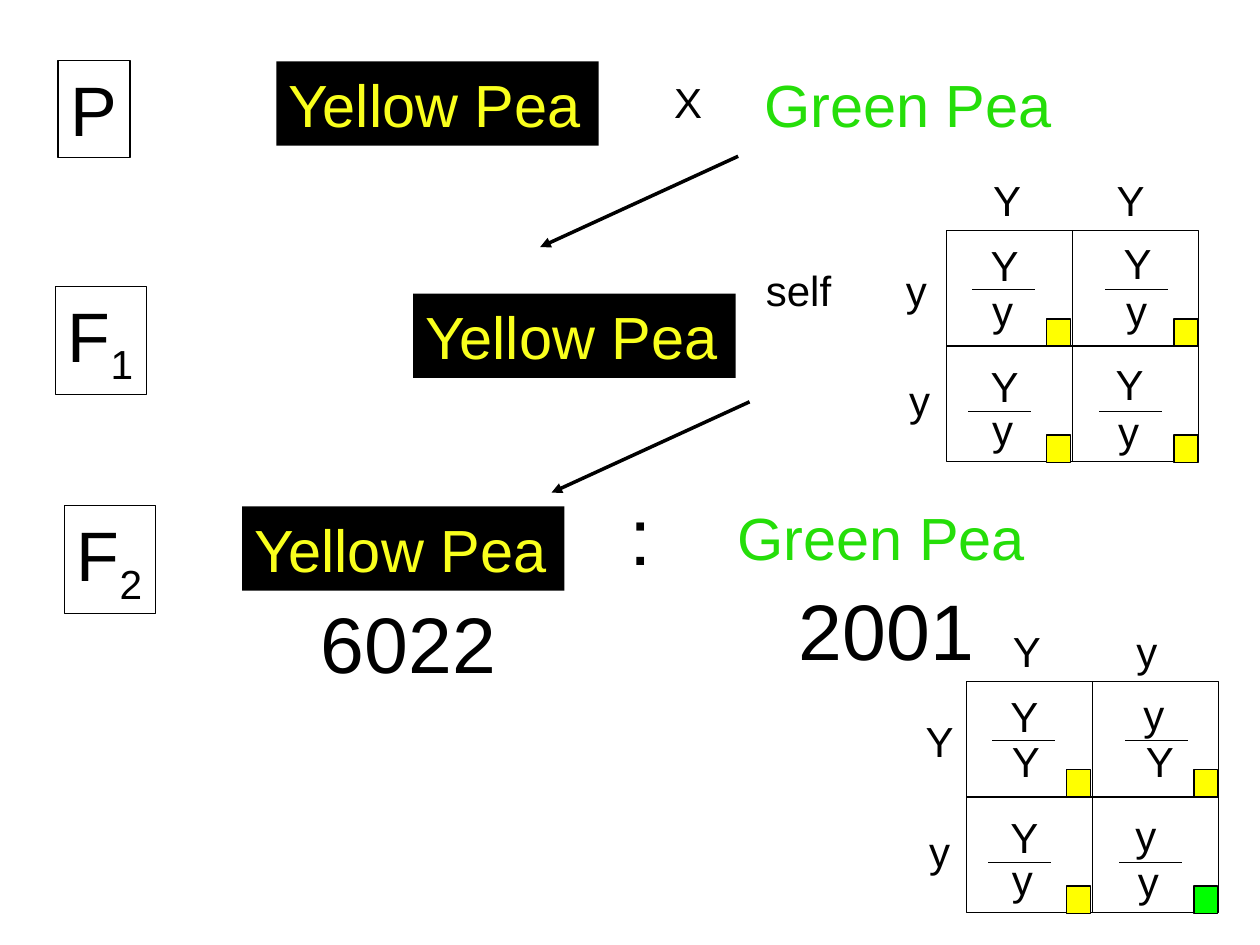
from lxml.etree import SubElement
from pptx import Presentation
from pptx.dml.color import RGBColor
from pptx.enum.shapes import MSO_CONNECTOR, MSO_SHAPE
from pptx.enum.text import MSO_ANCHOR, MSO_AUTO_SIZE, PP_ALIGN
from pptx.oxml.ns import qn
from pptx.util import Cm, Pt

BLACK = RGBColor(0x00, 0x00, 0x00)
PEA_YELLOW = RGBColor(0xF9, 0xFF, 0x1D)
PEA_GREEN = RGBColor(0x25, 0xDE, 0x09)
SEED_YELLOW = RGBColor(0xFF, 0xFF, 0x00)
SEED_GREEN = RGBColor(0x00, 0xFF, 0x00)

FRAME_FORMAT = {
    "word_wrap": False,
    "auto_size": MSO_AUTO_SIZE.SHAPE_TO_FIT_TEXT,
    "vertical_anchor": MSO_ANCHOR.TOP,
}
THIN = Pt(0.75)

presentation = Presentation()
presentation.slide_width, presentation.slide_height = Cm(25.4), Cm(19.05)
slide = presentation.slides.add_slide(presentation.slide_layouts[6])
shapes = slide.shapes


def add_label(text, left, top, width, height, size, color=BLACK, subscript=""):
    label = shapes.add_textbox(Cm(left), Cm(top), Cm(width), Cm(height))
    for name, value in FRAME_FORMAT.items():
        setattr(label.text_frame, name, value)
    paragraph = label.text_frame.paragraphs[0]
    paragraph.alignment = PP_ALIGN.LEFT
    for part in filter(None, (text, subscript)):
        run = paragraph.add_run()
        run.text = part
        for name, value in {"name": "Arial", "size": Pt(size)}.items():
            setattr(run.font, name, value)
        run.font.color.rgb = color
    if subscript:
        run.font._element.set("baseline", "-25000")
    return label


def add_line(x1, y1, x2, y2, width=THIN, arrow=False):
    line = shapes.add_connector(
        MSO_CONNECTOR.STRAIGHT, Cm(x1), Cm(y1), Cm(x2), Cm(y2))
    line.line.color.rgb = BLACK
    line.line.width = width
    if arrow:
        SubElement(line.line._get_or_add_ln(), qn("a:tailEnd"), type="triangle")
    SubElement(line._element.spPr, qn("a:effectLst"))
    return line


# Generation names
for name, number, left, top, width, height in [
    ("P", "", 1.17, 1.22, 1.45, 1.96),
    ("F", "1", 1.12, 5.77, 1.83, 2.18),
    ("F", "2", 1.3, 10.19, 1.83, 2.18),
]:
    generation = add_label(name, left, top, width, height, 40, subscript=number)
    generation.line.color.rgb = BLACK
    generation.line.width = THIN

# Peas
for left, top in [(5.57, 1.24), (8.33, 5.92), (4.88, 10.21)]:
    yellow_pea = add_label("Yellow Pea", left, top, 6.5, 1.7, 34, PEA_YELLOW)
    yellow_pea.fill.solid()
    yellow_pea.fill.fore_color.rgb = BLACK
for left, top in [(15.16, 1.24), (14.62, 9.98)]:
    add_label("Green Pea", left, top, 6.3, 1.7, 34, PEA_GREEN)

# Crosses, ratio and counts
for text, left, top, width, height, size in [
    ("X", 13.34, 1.42, 1.07, 1.27, 24),
    ("self", 15.19, 5.21, 1.83, 1.27, 24),
    (":", 12.45, 9.65, 0.94, 2.21, 46),
    ("6022", 6.22, 11.86, 4.04, 2.16, 45),
    ("2001", 15.85, 11.61, 4.04, 2.16, 45),
]:
    add_label(text, left, top, width, height, size)

# Arrows between generations
for x, y in [(14.88, 3.15), (15.11, 8.1)]:
    add_line(x, y, x - 3.99, y + 1.83, Pt(2), arrow=True)

# Punnett squares: offsets are measured from the square's top left corner
SQUARE_W, SQUARE_H = 5.08, 4.65
SEED_W, SEED_H = 0.48, 0.56
LETTER_WIDTH = {"Y": 1.07, "y": 0.91}
TOP_GAMETES = [(0.69, -1.26), (3.18, -1.25)]
LEFT_GAMETES = [(-1.07, 0.56), (-1, 2.77)]
UPPER_ALLELES = [(0.64, 0.05), (3.32, 0.01), (0.64, 2.5), (3.16, 2.46)]
LOWER_ALLELES = [(0.67, 0.97), (3.37, 0.97), (0.67, 3.35), (3.21, 3.39)]
LETTER_SPOTS = TOP_GAMETES + LEFT_GAMETES + UPPER_ALLELES + LOWER_ALLELES
BARS = [(0.52, 1.19), (3.2, 1.19), (0.44, 3.64), (3.08, 3.64)]
SEED_SPOTS = [(2.02 + 2.57 * col, 1.78 + 2.34 * row)
              for row in range(2) for col in range(2)]

# Letters run: top gametes, left gametes, upper alleles, lower alleles
for left, top, letters, last_seed in [
    (19.08, 4.65, "YY" "yy" "YYYY" "yyyy", SEED_YELLOW),
    (19.48, 13.74, "Yy" "Yy" "YyYy" "YYyy", SEED_GREEN),
]:
    # Square and seeds
    boxes = [(0, 0, SQUARE_W, SQUARE_H, None)]
    for (dx, dy), color in zip(SEED_SPOTS, [SEED_YELLOW] * 3 + [last_seed]):
        boxes.append((dx, dy, SEED_W, SEED_H, color))
    drawn = []
    for dx, dy, width, height, color in boxes:
        box = shapes.add_shape(MSO_SHAPE.RECTANGLE, Cm(left + dx), Cm(top + dy),
                               Cm(width), Cm(height))
        box.shadow.inherit = False
        box.line.color.rgb = BLACK
        box.line.width = THIN
        if color is None:
            box.fill.background()
        else:
            box.fill.solid()
            box.fill.fore_color.rgb = color
        drawn.append(box)
    square = drawn[0]

    # Dividers join the middles of opposite sides
    for start, end in [(1, 3), (0, 2)]:
        divider = add_line(left, top, left + SQUARE_W, top + SQUARE_H)
        divider.begin_connect(square, start)
        divider.end_connect(square, end)

    # Gametes and genotypes
    for letter, (dx, dy) in zip(letters, LETTER_SPOTS):
        add_label(letter, left + dx, top + dy, LETTER_WIDTH[letter], 1.27, 24)
    for dx, dy in BARS:
        add_line(left + dx, top + dy, left + dx + 1.27, top + dy)

presentation.save("out.pptx")
